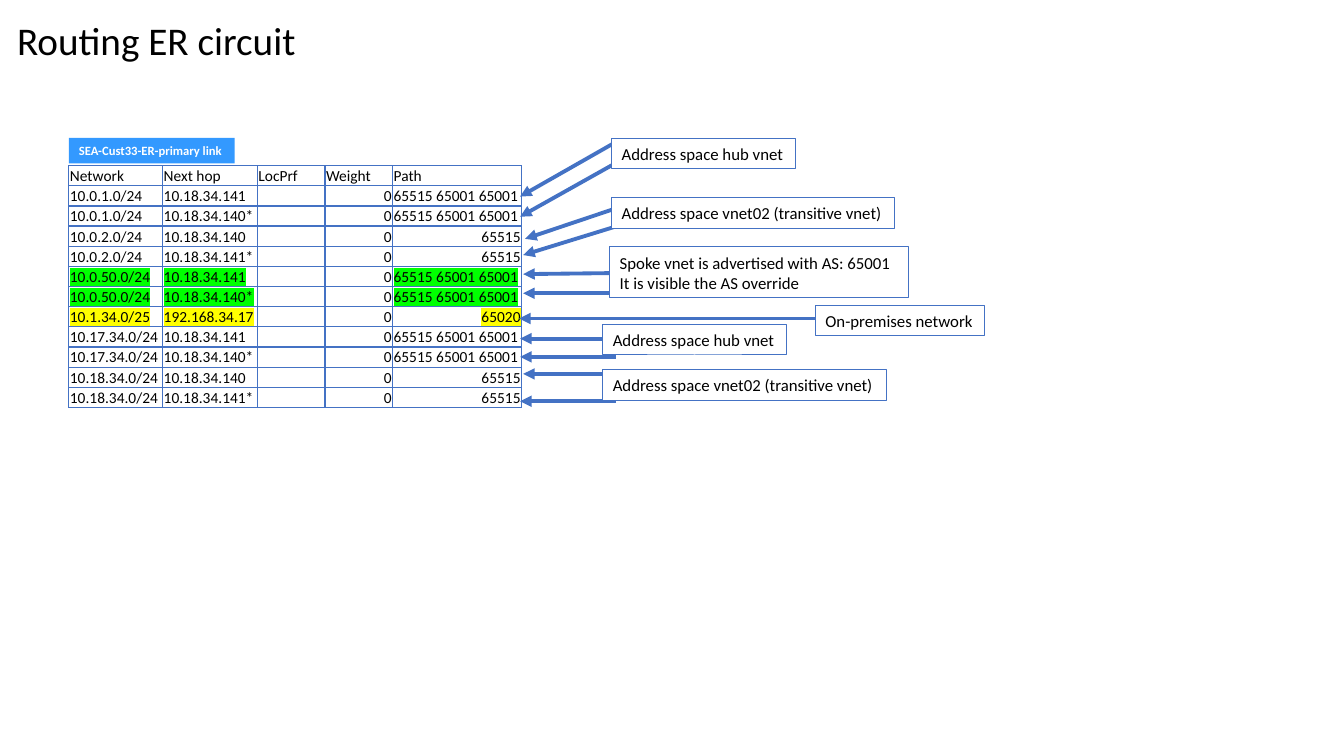
from lxml import etree
from pptx import Presentation
from pptx import util as u
from pptx.dml.color import RGBColor
from pptx.enum import shapes, text
from pptx.oxml import ns

BLUE, BLACK, WHITE = "4472C4", "000000", "FFFFFF"
GREEN, YELLOW = "00FF00", "FFFF00"
LEFT, RIGHT = text.PP_ALIGN.LEFT, text.PP_ALIGN.RIGHT

COLUMN_WIDTHS = [67, 67.7, 48.3, 48.3, 92.2]
ROW_HEIGHT = 14.4
HEADINGS = ["Network", "Next hop", "LocPrf", "Weight", "Path"]
OVERRIDE_PATH = "65515 65001 65001"
ROUTES = [
    ("10.0.1.0/24", "10.18.34.141", OVERRIDE_PATH, None),
    ("10.0.1.0/24", "10.18.34.140*", OVERRIDE_PATH, None),
    ("10.0.2.0/24", "10.18.34.140", "65515", None),
    ("10.0.2.0/24", "10.18.34.141*", "65515", None),
    ("10.0.50.0/24", "10.18.34.141", OVERRIDE_PATH, GREEN),
    ("10.0.50.0/24", "10.18.34.140*", OVERRIDE_PATH, GREEN),
    ("10.1.34.0/25", "192.168.34.17", "65020", YELLOW),
    ("10.17.34.0/24", "10.18.34.141", OVERRIDE_PATH, None),
    ("10.17.34.0/24", "10.18.34.140*", OVERRIDE_PATH, None),
    ("10.18.34.0/24", "10.18.34.140", "65515", None),
    ("10.18.34.0/24", "10.18.34.141*", "65515", None),
]
ARROWS = [
    (435.6, 195.1, 373.7, 195.8),
    (439.9, 101.5, 371.5, 140.4),
    (442.1, 115.2, 371.5, 154.8),
    (445.7, 146.9, 375.1, 170.6),
    (448.6, 159.1, 373.7, 182.2),
    (442.8, 209.5, 373.7, 209.5),
    (439.9, 286.6, 371.5, 286.6),
    (442.1, 267.1, 373.7, 267.1),
    (439.9, 254.9, 371.5, 254.9),
    (439.9, 241.9, 371.5, 241.9),
    (659.5, 227.5, 370.8, 227.5),
]
HUB = ["Address space hub vnet"]
TRANSITIVE = ["Address space vnet02 (transitive vnet)"]
SPOKE = ["Spoke vnet is advertised with AS: 65001", "It is visible the AS override"]
CALLOUTS = [
    (437, 98.6, 131, 21.8, HUB),
    (430.6, 264.2, 202.3, 21.8, TRANSITIVE),
    (430.6, 231.8, 131, 21.8, HUB),
    (437, 141.1, 202.3, 21.8, TRANSITIVE),
    (435.6, 176.4, 213.1, 36.3, SPOKE),
    (582.5, 218.2, 121, 21.8, ["On-premises network"]),
]


def colour(value):
    return RGBColor.from_string(value)


def add_element(parent, tag, **attributes):
    return etree.SubElement(parent, ns.qn(tag), attributes)


def format_para(para, size, ink=BLACK, bold=False, align=LEFT):
    para.alignment = align
    para.font.name = "Calibri"
    para.font.size = u.Pt(size)
    para.font.bold = bold
    para.font.color.rgb = colour(ink)


def add_title(page, wording):
    title = page.shapes.title
    title.left, title.top = u.Pt(5), u.Pt(7.2)
    title.width, title.height = u.Pt(828), u.Pt(46)
    title.text_frame.text = wording
    title.text_frame.vertical_anchor = text.MSO_ANCHOR.MIDDLE
    para = title.text_frame.paragraphs[0]
    para.line_spacing = 0.9
    format_para(para, 28)


def add_box(page, left, top, width, height, lines, size=12,
            fill=WHITE, outline=BLUE, ink=BLACK, bold=False):
    box = page.shapes.add_shape(
        shapes.MSO_SHAPE.RECTANGLE, u.Pt(left), u.Pt(top), u.Pt(width), u.Pt(height))
    box.shadow.inherit = False
    box.fill.solid()
    box.fill.fore_color.rgb = colour(fill)
    if outline:
        box.line.color.rgb = colour(outline)
        box.line.width = u.Pt(0.75)
    else:
        box.line.fill.background()
    frame = box.text_frame
    frame.word_wrap = False
    frame.auto_size = text.MSO_AUTO_SIZE.SHAPE_TO_FIT_TEXT
    frame.text = "\n".join(lines)
    for para in frame.paragraphs:
        format_para(para, size, ink, bold)


def add_arrow(page, *ends):
    arrow = page.shapes.add_connector(
        shapes.MSO_CONNECTOR.STRAIGHT, *[u.Pt(value) for value in ends])
    arrow.line.color.rgb = colour(BLUE)
    arrow.line.width = u.Pt(2.75)
    add_element(arrow.line._get_or_add_ln(), "a:tailEnd", type="triangle")
    add_element(arrow._element.spPr, "a:effectLst")


def add_borders(cell):
    properties = cell._tc.get_or_add_tcPr()
    for side in ("a:lnL", "a:lnR", "a:lnT", "a:lnB"):
        border = add_element(properties, side, w=str(u.Pt(1)))
        add_element(add_element(border, "a:solidFill"), "a:srgbClr", val=BLUE)


def fill_cell(cell, wording, align=LEFT, highlight=None):
    add_borders(cell)
    cell.fill.background()
    cell.margin_left = cell.margin_right = cell.margin_top = u.Pt(0.75)
    cell.margin_bottom = 0
    cell.vertical_anchor = text.MSO_ANCHOR.BOTTOM
    para = cell.text_frame.paragraphs[0]
    format_para(para, 11, align=align)
    if not wording:
        para._p.get_or_add_endParaRPr().set("sz", "1100")
        return
    span = para.add_run()
    span.text = wording
    if highlight:
        marker = add_element(span._r.get_or_add_rPr(), "a:highlight")
        add_element(marker, "a:srgbClr", val=highlight)


def add_route_table(page):
    row_count = len(ROUTES) + 1
    table = page.shapes.add_table(
        row_count, len(HEADINGS), u.Pt(49.2), u.Pt(118.3),
        u.Pt(sum(COLUMN_WIDTHS)), u.Pt(ROW_HEIGHT * row_count)).table
    table.first_row = table.horz_banding = False
    for column, width in zip(table.columns, COLUMN_WIDTHS):
        column.width = u.Pt(width)
    for row in table.rows:
        row.height = u.Pt(ROW_HEIGHT)
    for cell, heading in zip(table.rows[0].cells, HEADINGS):
        fill_cell(cell, heading)
    for number, (network, next_hop, as_path, highlight) in enumerate(ROUTES, 1):
        cells = table.rows[number].cells
        fill_cell(cells[0], network, highlight=highlight)
        fill_cell(cells[1], next_hop, highlight=highlight)
        fill_cell(cells[2], "")
        fill_cell(cells[3], "0", RIGHT)
        fill_cell(cells[4], as_path, LEFT if " " in as_path else RIGHT, highlight)


def main():
    deck = Presentation()
    deck.slide_width, deck.slide_height = u.Pt(960), u.Pt(540)
    page = deck.slides.add_slide(deck.slide_layouts.get_by_name("Title Only"))
    add_title(page, "Routing ER circuit")
    add_route_table(page)
    add_box(page, 49.2, 98.6, 118.4, 18.2, ["SEA-Cust33-ER-primary link"], size=9,
            fill="3399FF", outline=None, ink=WHITE, bold=True)
    for ends in ARROWS:
        add_arrow(page, *ends)
    for callout in CALLOUTS:
        add_box(page, *callout)
    deck.save("out.pptx")


if __name__ == "__main__":
    main()
